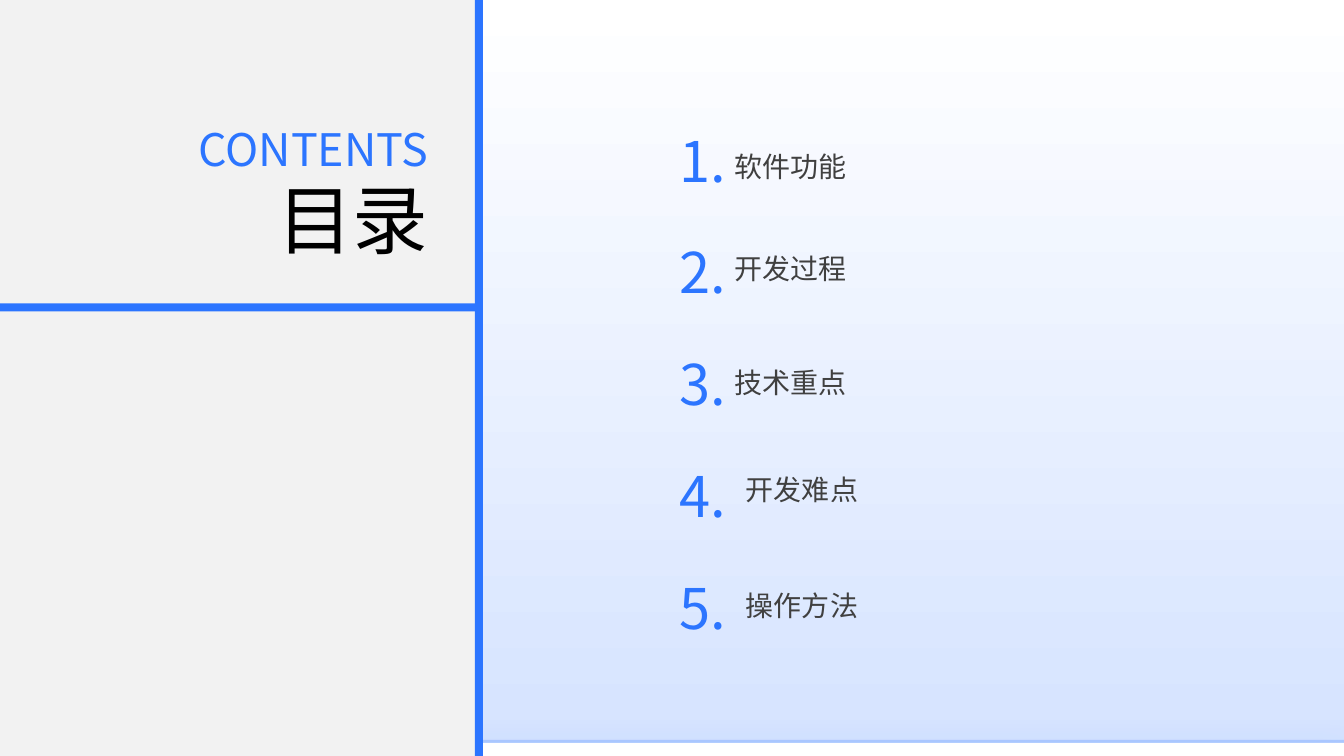
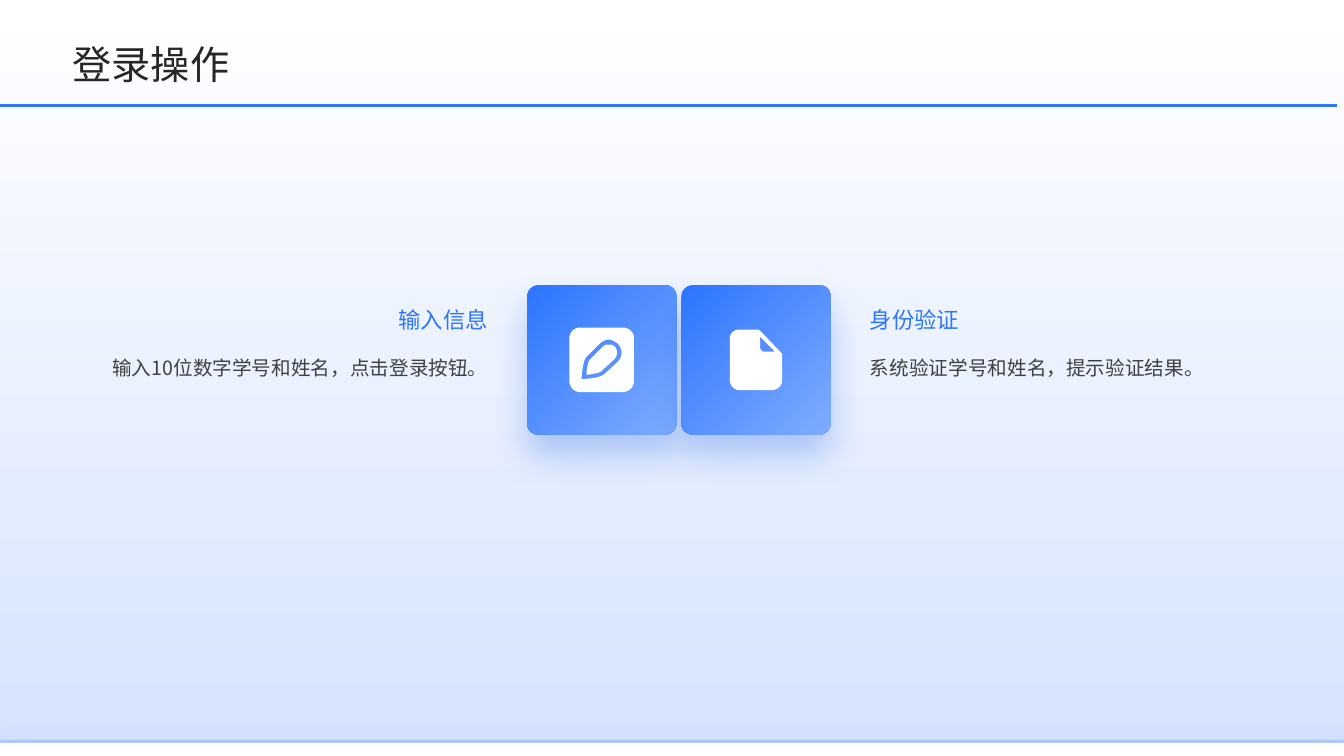
from lxml import etree
from pptx import Presentation
from pptx.dml.color import RGBColor
from pptx.enum.shapes import MSO_CONNECTOR, MSO_SHAPE
from pptx.enum.text import MSO_ANCHOR, PP_ALIGN
from pptx.oxml.ns import qn
from pptx.util import Inches, Pt

RECT, ROUND = MSO_SHAPE.RECTANGLE, MSO_SHAPE.ROUNDED_RECTANGLE
LINE = MSO_CONNECTOR.STRAIGHT
TOP, MID, LOW = MSO_ANCHOR.TOP, MSO_ANCHOR.MIDDLE, MSO_ANCHOR.BOTTOM
LEFT, RIGHT = PP_ALIGN.LEFT, PP_ALIGN.RIGHT

WIDE, HIGH = Inches(13.333), Inches(7.5)
FONT = "Noto Sans CJK SC"
HUES = {
    "blue": "2C75FF", "light": "80ACFF", "pale": "D5E3FF", "edge": "ABC8FF",
    "deep": "004EE0", "panel": "F2F2F2", "white": "FFFFFF",
    "black": "000000", "ink": "262626", "gray": "404040",
}
# Shadows: hue, opacity in %, blur and drop in points
GLOW = ("blue", 10, 25, 10)
DROP = ("deep", 25, 26, 15)

# Icon contours in 1/100 inch: a start, then line ends (2) or curves (6)
PAGE = [
    [(9, 0), (28, 0), (30, 1), (51, 23), (52, 25), (52, 50),
     (52, 55, 48, 60, 42, 60), (9, 60), (4, 60, 0, 55, 0, 50), (0, 9),
     (0, 4, 4, 0, 9, 0)],
    [(30, 7), (30, 17), (30, 20, 32, 22, 35, 22), (45, 22)],
]
PEN = [
    [(10, 0), (53, 0), (59, 0, 64, 5, 64, 10), (64, 53),
     (64, 59, 59, 64, 53, 64), (10, 64), (5, 64, 0, 59, 0, 53), (0, 10),
     (0, 5, 5, 0, 10, 0)],
    [(39, 12), (36, 12, 32, 14, 30, 16), (17, 29), (13, 33, 12, 51, 12, 51),
     (12, 51, 30, 51, 35, 46), (48, 34), (53, 29, 53, 21, 48, 16),
     (45, 14, 42, 12, 39, 12)],
    [(39, 17), (41, 17, 43, 17, 45, 19), (48, 22, 48, 27, 45, 31), (32, 43),
     (30, 45, 24, 46, 17, 47), (17, 40, 19, 33, 20, 32), (33, 19),
     (35, 17, 37, 17, 39, 17)],
]

# Name, left and top in percent of the slide
ITEMS = [
    ("软件功能", 54.68, 15.47),
    ("开发过程", 54.68, 29.07),
    ("技术重点", 54.68, 44.13),
    ("开发难点", 55.5, 58.27),
    ("操作方法", 55.5, 73.6),
]
# Head, body, text left and width, alignment, tile left, icon, icon left and top
STEPS = [
    ("输入信息", "输入10位数字学号和姓名，点击登录按钮。",
     5.4, 30.9, RIGHT, 39.22, PEN, 42.37, 43.33),
    ("身份验证", "系统验证学号和姓名，提示验证结果。",
     64.73, 29.78, LEFT, 50.7, PAGE, 54.3, 43.6),
]


def hue(name):
    return RGBColor.from_string(HUES[name])


def across(share):
    return round(WIDE * share / 100)


def down(share):
    return round(HIGH * share / 100)


def place(x, y, w, h):
    """Turn percent shares of the slide into lengths."""
    return across(x), down(y), across(w), down(h)


def paint(shape, fill, turn=0):
    """Fill with one hue, or with a pair of hues as a gradient."""
    if isinstance(fill, tuple):
        shape.fill.gradient()
        shape.fill.gradient_angle = turn
        for stop, name in zip(shape.fill.gradient_stops, fill):
            stop.color.rgb = hue(name)
    else:
        shape.fill.solid()
        shape.fill.fore_color.rgb = hue(fill)
    shape.line.fill.background()
    shape.shadow.inherit = False


def shade(shape, name, alpha, blur, dist):
    """Cast a soft shadow straight down."""
    box = shape._element.spPr.find(qn("a:effectLst"))
    cast = etree.SubElement(box, qn("a:outerShdw"), blurRad=str(Pt(blur)),
                            dist=str(Pt(dist)), dir="5400000",
                            algn="t", rotWithShape="0")
    tint = etree.SubElement(cast, qn("a:srgbClr"), val=HUES[name])
    etree.SubElement(tint, qn("a:alpha"), val=str(alpha * 1000))


def block(slide, area, fill, turn=0, cast=None, kind=RECT):
    shape = slide.shapes.add_shape(kind, *place(*area))
    paint(shape, fill, turn)
    if cast:
        shade(shape, *cast)
    return shape


def label(slide, area, text, size, color, side=LEFT, anchor=MID, gap=None):
    frame = slide.shapes.add_textbox(*place(*area)).text_frame
    frame.margin_left = frame.margin_right = 0
    frame.margin_top = frame.margin_bottom = 0
    frame.word_wrap = True
    frame.vertical_anchor = anchor
    frame.text = text
    para = frame.paragraphs[0]
    para.alignment = side
    if gap:
        para.line_spacing = gap
    run = para.runs[0]
    run.font.size = Pt(size)
    run.font.color.rgb = hue(color)
    run.font.name = FONT
    etree.SubElement(run._r.get_or_add_rPr(), qn("a:ea"), typeface=FONT)


def trace(contour, steps=10):
    """Return the contour's points, with its cubic curves sampled."""
    points = [contour[0]]
    for part in contour[1:]:
        if len(part) == 2:
            points.append(part)
            continue
        ends = [points[-1], part[:2], part[2:4], part[4:]]
        for i in range(1, steps + 1):
            t = i / steps
            u = 1 - t
            rates = (u ** 3, 3 * u * u * t, 3 * u * t * t, t ** 3)
            points.append(tuple(sum(r * p[k] for r, p in zip(rates, ends))
                                for k in (0, 1)))
    return [(x * 10, y * 10) for x, y in points]


def icon(slide, x, y, contours):
    first, *rest = [trace(contour) for contour in contours]
    pen = slide.shapes.build_freeform(*first[0], scale=Inches(1) / 1000)
    pen.add_line_segments(first[1:])
    for points in rest:
        pen.move_to(*points[0])
        pen.add_line_segments(points[1:])
    paint(pen.convert_to_shape(across(x), down(y)), "white")


def rule(slide, y, end):
    line = slide.shapes.add_connector(LINE, 0, down(y), across(end), down(y))
    line.line.color.rgb = hue("blue")
    line.line.width = Pt(2.25)
    etree.SubElement(line._element.spPr, qn("a:effectLst"))


def start(deck):
    """Add a slide with the shared backdrop and foot bands."""
    slide = deck.slides.add_slide(deck.slide_layouts[6])
    block(slide, (0, 0, 100, 100), ("pale", "white"), turn=90)
    block(slide, (0, 97.87, 100, 1.07), "edge", cast=GLOW)
    block(slide, (0, 98.27, 100, 1.73), "white", cast=GLOW)
    return slide


def contents(deck):
    slide = start(deck)
    block(slide, (0, 0, 35.4, 100), "panel")
    label(slide, (4.73, 16.67, 27.15, 5.87), "CONTENTS", 32, "blue", RIGHT)
    label(slide, (4.73, 23.87, 27.15, 10), "目录", 54, "black", RIGHT)
    block(slide, (0, 40.13, 35.4, 1.07), "blue")
    block(slide, (35.33, 0, 0.6, 100), "blue")
    for i, (name, x, y) in enumerate(ITEMS):
        label(slide, (x, y, 29.48, 11.6), name, 20, "gray", gap=1.3)
        label(slide, (42.22, 16.67 + i * 14.8, 11.78, 9.33), f"{i + 1}.",
              40, "blue", RIGHT, TOP)


def login(deck):
    slide = start(deck)
    label(slide, (5.4, 4.67, 87.53, 6.8), "登录操作", 28, "ink", gap=1.1)
    rule(slide, 14, 99.45)
    for head, body, x, w, side, left, art, ix, iy in STEPS:
        tile = block(slide, (left, 37.73, 11.1, 19.73), ("blue", "light"),
                     turn=315, cast=DROP, kind=ROUND)
        tile.adjustments[0] = 0.075
        icon(slide, ix, iy, art)
        label(slide, (x, 32.27, w, 11.73), head, 16, "blue", side, LOW, 1.3)
        label(slide, (x, 45.47, w, 28.13), body, 14, "gray", side, TOP, 1.5)


def main():
    deck = Presentation()
    deck.slide_width, deck.slide_height = WIDE, HIGH
    contents(deck)
    login(deck)
    deck.save("out.pptx")


if __name__ == "__main__":
    main()
